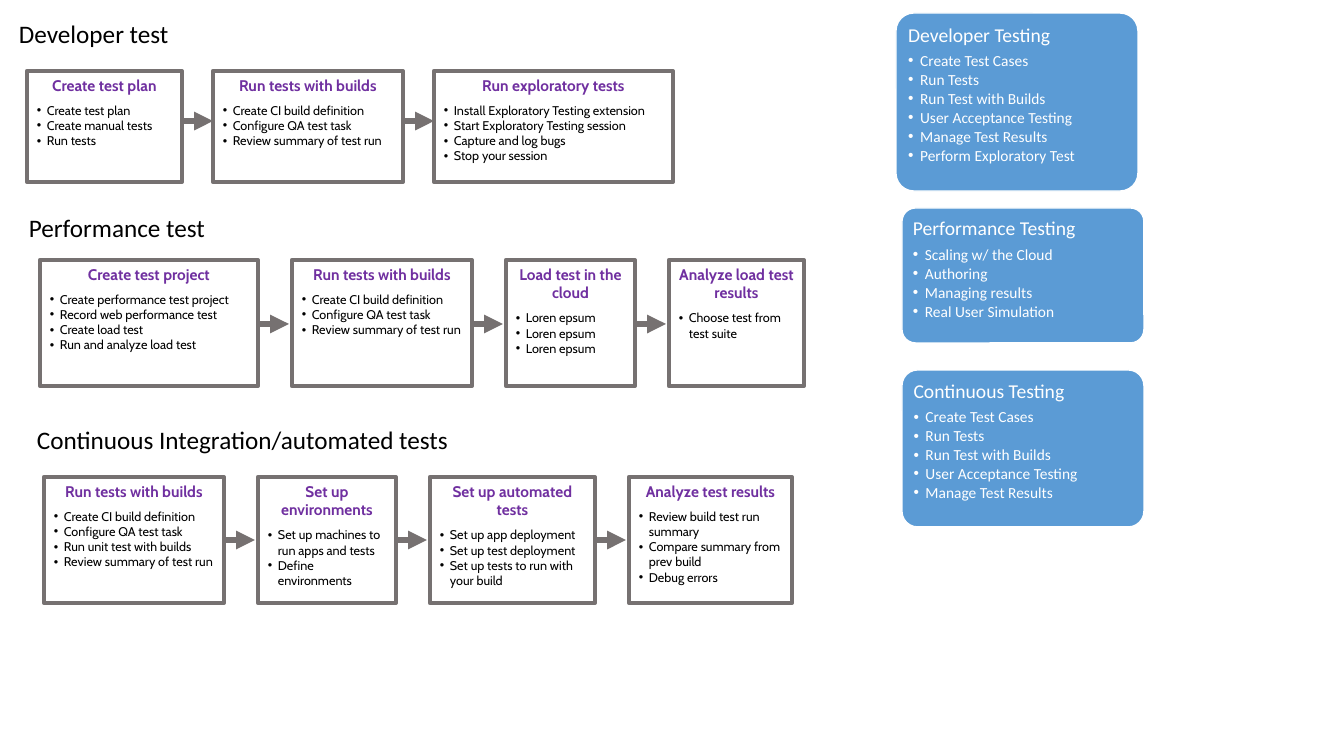
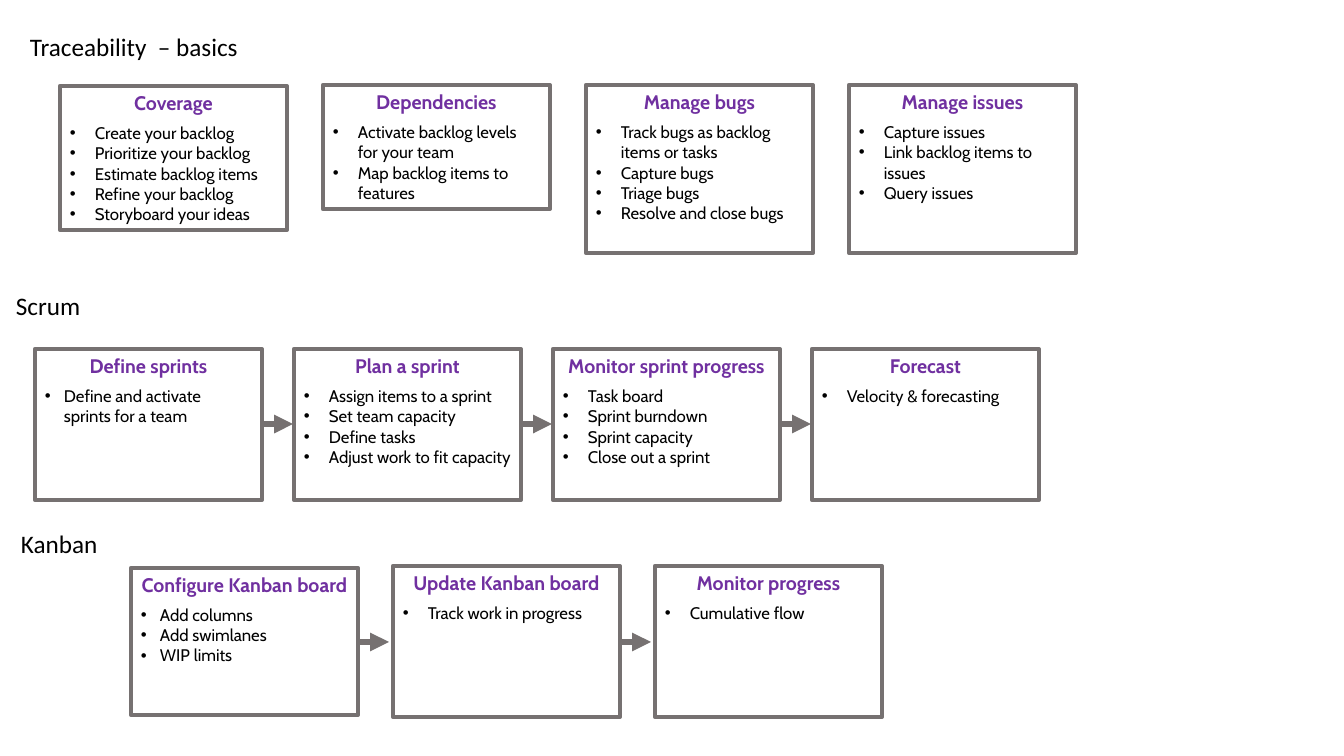
"""Build two slides of test and planning workflows."""
from itertools import pairwise

from lxml.etree import SubElement
from pptx import Presentation
from pptx.dml.color import RGBColor
from pptx.enum.shapes import MSO_CONNECTOR as Connector, MSO_SHAPE as Shape
from pptx.enum.text import MSO_ANCHOR as Anchor, PP_ALIGN as Align
from pptx.oxml.ns import qn
from pptx.util import Emu, Pt

BLACK = RGBColor(0x00, 0x00, 0x00)
WHITE = RGBColor(0xFF, 0xFF, 0xFF)
GRAY = RGBColor(0x76, 0x71, 0x71)
PURPLE = RGBColor(0x70, 0x30, 0xA0)
BLUE = RGBColor(0x5B, 0x9B, 0xD5)

ARROW_LENGTH = 31
TITLE_HEIGHT = 40
PANEL_WIDTH = 242

TITLE = {"name": "Calibri", "size": Pt(18), "color": BLACK}
PANEL_HEAD = {"name": "Calibri", "size": Pt(14), "color": WHITE}
PANEL_ITEM = PANEL_HEAD | {"size": Pt(11)}
STEP_HEAD = {"name": "Cabin", "bold": True, "color": PURPLE}
STEP_ITEM = {"name": "Cabin", "bold": False, "color": BLACK}

BUILD_ITEMS = ["Create CI build definition", "Configure QA test task", "Review summary of test run"]
TEST_ITEMS = ["Create Test Cases", "Run Tests", "Run Test with Builds",
              "User Acceptance Testing", "Manage Test Results"]

PANELS = [
    (896, 13, 178, "Developer Testing", TEST_ITEMS + ["Perform Exploratory Test"]),
    (902, 208, 135, "Performance Testing",
     ["Scaling w/ the Cloud", "Authoring", "Managing results", "Real User Simulation"]),
    (902, 370, 157, "Continuous Testing", TEST_ITEMS),
]

TEST_ROWS = [
    {"title": ("Developer test", 9, 13, 177),
     "left": 27, "gap": 31, "top": 71, "height": 111, "arrow_y": 121,
     "steps": [
         {"head": "Create test plan", "width": 155,
          "items": ["Create test plan", "Create manual tests", "Run tests"]},
         {"head": "Run tests with builds", "width": 190, "items": BUILD_ITEMS},
         {"head": "Run exploratory tests", "width": 239,
          "items": ["Install Exploratory Testing extension", "Start Exploratory Testing session",
                    "Capture and log bugs", "Stop your session"]},
     ]},
    {"title": ("Performance test", 19, 207, 205),
     "left": 40, "gap": 34, "top": 260, "height": 126, "arrow_y": 324,
     "steps": [
         {"head": "Create test project", "width": 218,
          "items": ["Create performance test project", "Record web performance test",
                    "Create load test", "Run and analyze load test"]},
         {"head": "Run tests with builds", "width": 180, "items": BUILD_ITEMS},
         {"head": "Load test in the cloud", "width": 129, "items": ["Loren epsum"] * 3},
         {"head": "Analyze load test results", "width": 135,
          "items": ["Choose test from test suite"]},
     ]},
    {"title": ("Continuous Integration/automated tests", 27, 419, 443),
     "left": 44, "gap": 34, "top": 477, "height": 126, "arrow_y": 540,
     "steps": [
         {"head": "Run tests with builds", "width": 180,
          "items": BUILD_ITEMS[:2] + ["Run unit test with builds"] + BUILD_ITEMS[2:]},
         {"head": "Set up environments", "width": 138,
          "items": ["Set up machines to run apps and tests", "Define environments"]},
         {"head": "Set up automated tests", "width": 165,
          "items": ["Set up app deployment", "Set up test deployment",
                    "Set up tests to run with your build"]},
         {"head": "Analyze test results", "width": 163,
          "items": ["Review build test run summary", "Compare summary from prev build",
                    "Debug errors"]},
     ]},
]

PLANNING_ROWS = [
    {"title": ("Traceability  – basics", 20, 26, 242),
     "left": 60, "gap": 36, "top": 85, "height": 168, "arrow_y": None,
     "steps": [
         {"head": "Coverage", "top": 86, "height": 144,
          "items": ["Create your backlog", "Prioritize your backlog", "Estimate backlog items",
                    "Refine your backlog", "Storyboard your ideas"]},
         {"head": "Dependencies", "height": 124,
          "items": ["Activate backlog levels for your team", "Map backlog items to features"]},
         {"head": "Manage bugs",
          "items": ["Track bugs as backlog items or tasks", "Capture bugs", "Triage bugs",
                    "Resolve and close bugs"]},
         {"head": "Manage issues",
          "items": ["Capture issues", "Link backlog items to issues", "Query issues"]},
     ]},
    {"title": ("Scrum", 6, 285, 86),
     "left": 35, "gap": 32, "top": 349, "height": 151, "arrow_y": 424,
     "steps": [
         {"head": "Define sprints", "indent": 19,
          "items": ["Define and activate sprints for a team"]},
         {"head": "Plan a sprint",
          "items": ["Assign items to a sprint", "Set team capacity", "Define tasks",
                    "Adjust work to fit capacity"]},
         {"head": "Monitor sprint progress",
          "items": ["Task board", "Sprint burndown", "Sprint capacity", "Close out a sprint"]},
         {"head": "Forecast", "items": ["Velocity & forecasting"]},
     ]},
    {"title": ("Kanban", 11, 523, 98),
     "left": 131, "gap": 35, "top": 566, "height": 151, "arrow_y": 642,
     "steps": [
         {"head": "Configure Kanban board", "top": 568, "height": 147, "indent": 19,
          "items": ["Add columns", "Add swimlanes", "WIP limits"]},
         {"head": "Update Kanban board", "items": ["Track work in progress"]},
         {"head": "Monitor progress", "items": ["Cumulative flow"]},
     ]},
]

PAGES = [
    (TEST_ROWS, {"head_size": 11, "item_size": 9, "indent": 10}, PANELS),
    (PLANNING_ROWS, {"head_size": 14, "item_size": 12, "indent": 25, "width": 227}, []),
]


def px(*lengths):
    """Turn pixels into EMU."""
    return [Emu(round(length * 914400 / 100.8)) for length in lengths]


def write(para, text, style, **layout):
    """Put one styled run into a paragraph."""
    for name, value in layout.items():
        setattr(para, name, value)
    span = para.add_run()
    span.text = text
    for name, value in style.items():
        if name == "color":
            span.font.color.rgb = value
        else:
            setattr(span.font, name, value)


def write_list(frame, head, items, head_style, item_style, head_layout, item_layout, indent):
    """Write a heading and its bulleted items."""
    frame.word_wrap = True
    frame.vertical_anchor = Anchor.TOP
    write(frame.paragraphs[0], head, head_style, **head_layout)
    hang = px(indent)[0]
    for item in items:
        para = frame.add_paragraph()
        write(para, item, item_style, alignment=Align.LEFT, **item_layout)
        props = para._p.get_or_add_pPr()
        props.set("marL", str(hang))
        props.set("indent", str(-hang))
        SubElement(props, qn("a:buFont"), typeface="Arial")
        SubElement(props, qn("a:buChar"), char="•")


def add_title(page, text, left, top, width):
    """Add the heading of a row."""
    box = page.shapes.add_textbox(*px(left, top, width, TITLE_HEIGHT))
    box.text_frame.word_wrap = True
    write(box.text_frame.paragraphs[0], text, TITLE)


def add_step(page, left, step):
    """Add an outlined step box."""
    box = page.shapes.add_shape(
        Shape.RECTANGLE, *px(left, step["top"], step["width"], step["height"]))
    box.shadow.inherit = False
    box.fill.background()
    box.line.color.rgb = GRAY
    box.line.width = Pt(3)
    write_list(box.text_frame, step["head"], step["items"],
               STEP_HEAD | {"size": Pt(step["head_size"])},
               STEP_ITEM | {"size": Pt(step["item_size"])},
               {"alignment": Align.CENTER, "space_after": Pt(6)}, {}, step["indent"])


def add_arrow(page, left, y):
    """Add an arrow between two steps."""
    arrow = page.shapes.add_connector(Connector.STRAIGHT, *px(left, y, left + ARROW_LENGTH, y))
    arrow.line.color.rgb = GRAY
    arrow.line.width = Pt(4.5)
    SubElement(arrow.line._get_or_add_ln(), qn("a:tailEnd"), type="triangle")
    SubElement(arrow._element.spPr, qn("a:effectLst"))


def add_row(page, row, defaults):
    """Add a titled row of steps, joined by arrows if the row has them."""
    add_title(page, *row["title"])
    shared = defaults | {"top": row["top"], "height": row["height"]}
    steps = [shared | step for step in row["steps"]]
    lefts = [row["left"]]
    for step in steps:
        lefts.append(lefts[-1] + step["width"] + row["gap"])
    for left, step in zip(lefts, steps):
        add_step(page, left, step)
    if row["arrow_y"]:
        for _, following in pairwise(lefts[:-1]):
            add_arrow(page, following - row["gap"], row["arrow_y"])


def add_panel(page, left, top, height, head, items):
    """Add a rounded blue summary panel."""
    panel = page.shapes.add_shape(Shape.ROUNDED_RECTANGLE, *px(left, top, PANEL_WIDTH, height))
    panel.adjustments[0] = 0.1
    panel.shadow.inherit = False
    panel.fill.solid()
    panel.fill.fore_color.rgb = BLUE
    panel.line.color.rgb = WHITE
    panel.line.width = Pt(1)
    frame = panel.text_frame
    for side in ("left", "top", "right", "bottom"):
        setattr(frame, f"margin_{side}", px(7)[0])
    write_list(frame, head, items, PANEL_HEAD, PANEL_ITEM,
               {"alignment": Align.LEFT, "line_spacing": 0.9, "space_after": Pt(4.9)},
               {"line_spacing": 0.9, "space_after": Pt(1.65)}, 12)


deck = Presentation()
deck.slide_width, deck.slide_height = px(1344, 756)
for rows, defaults, panels in PAGES:
    page = deck.slides.add_slide(deck.slide_layouts[6])
    for row in rows:
        add_row(page, row, defaults)
    for panel in panels:
        add_panel(page, *panel)
deck.save("out.pptx")
